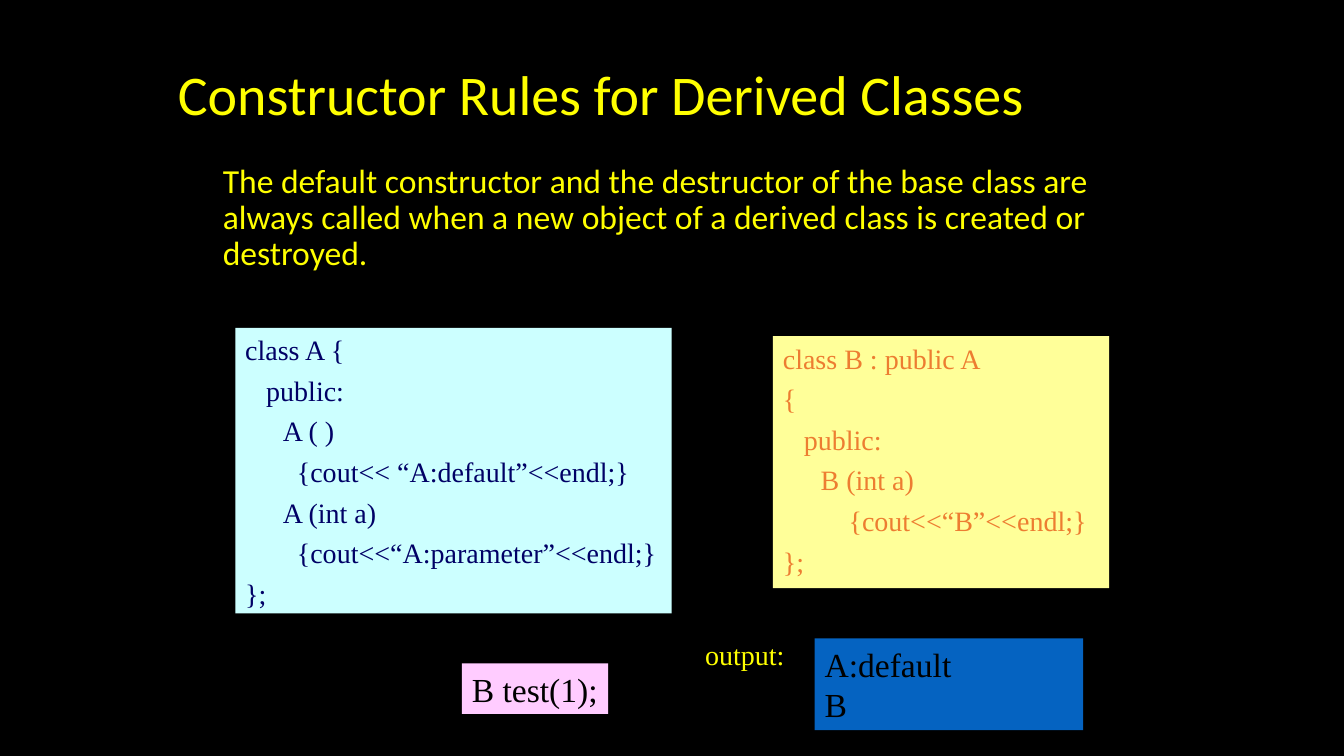
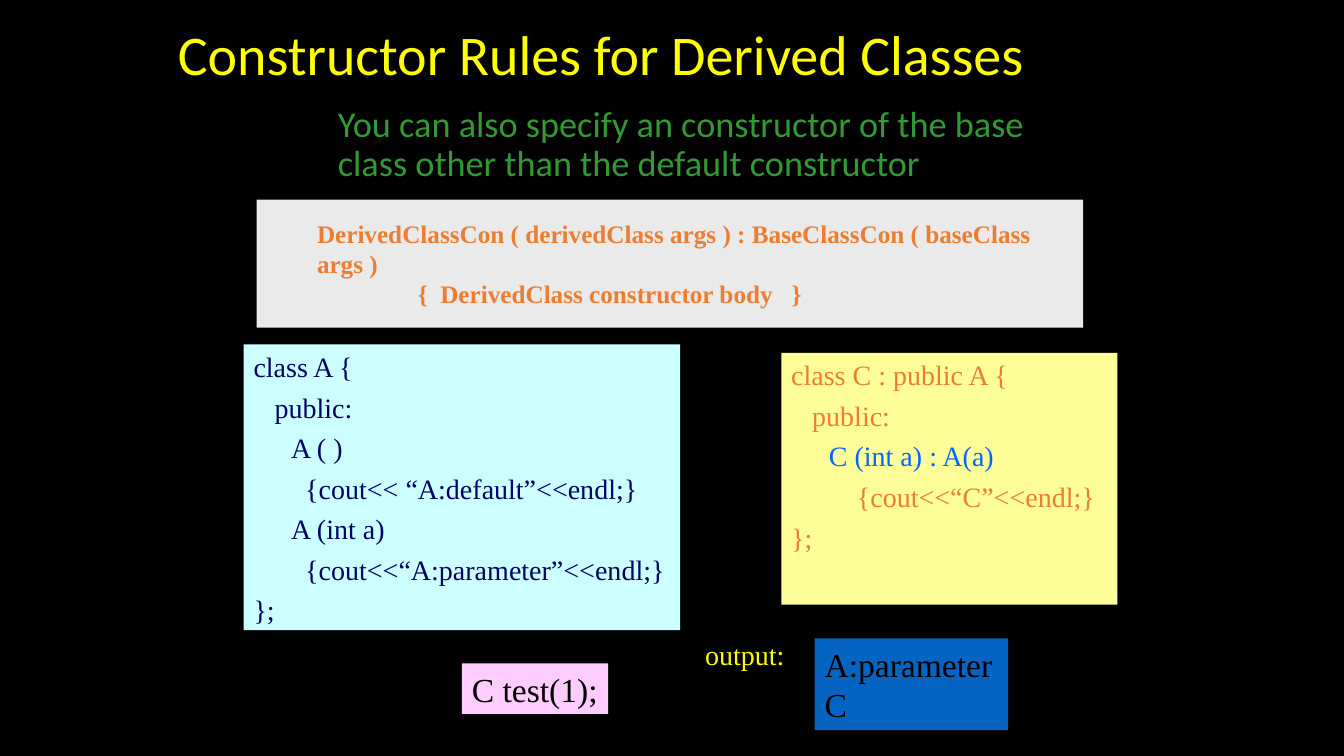
from pptx import Presentation
from pptx.dml.color import RGBColor
from pptx.enum.shapes import MSO_SHAPE
from pptx.enum.text import MSO_ANCHOR, MSO_AUTO_SIZE, PP_ALIGN
from pptx.oxml.ns import qn
from pptx.util import Cm, Pt

RECT = MSO_SHAPE.RECTANGLE
TOP, MIDDLE, BOTTOM = MSO_ANCHOR.TOP, MSO_ANCHOR.MIDDLE, MSO_ANCHOR.BOTTOM
LEFT = PP_ALIGN.LEFT
NO_AUTOFIT = MSO_AUTO_SIZE.NONE

BLACK = RGBColor(0x00, 0x00, 0x00)
YELLOW = RGBColor(0xFF, 0xFF, 0x00)
GREEN = RGBColor(0x33, 0x99, 0x33)
NAVY = RGBColor(0x00, 0x00, 0x66)
ORANGE = RGBColor(0xED, 0x7D, 0x31)
BRIGHT_BLUE = RGBColor(0x00, 0x66, 0xFF)
PALE_CYAN = RGBColor(0xCC, 0xFF, 0xFF)
PALE_YELLOW = RGBColor(0xFF, 0xFF, 0x99)
PINK = RGBColor(0xFF, 0xCC, 0xFF)
BLUE = RGBColor(0x05, 0x63, 0xC1)
GREY = RGBColor(0xEA, 0xEA, 0xEA)

SANS, SERIF = "Calibri", "Times New Roman"
TITLE = "Constructor Rules for Derived Classes"
CODE_INDENT = 0.95
# Offset from the base class box to the derived class box
DERIVED_DX, DERIVED_DY = 13.55, 0.21

BASE_CLASS = [
    "class A {",
    "   public:",
    "\tA ( )",
    "\t  {cout<< “A:default”<<endl;}",
    "\tA (int a)",
    "\t  {cout<<“A:parameter”<<endl;}",
    "};",
]
CLASS_B = [
    "class B : public A",
    "{",
    "   public:",
    "\tB (int a)",
    "\t    {cout<<“B”<<endl;}",
    "};",
]
CLASS_C = [
    "class C : public A {",
    "   public:",
    ("\tC (int a) : A(a)", BRIGHT_BLUE),
    "\t    {cout<<“C”<<endl;}",
    "};",
]


def write(tf, lines, size, color, font=SERIF, bold=False, anchor=TOP, wrap=True,
          spacing=None, before=0, margins=(0,), hanging=0):
    """Fill a text frame; a line is a string or a (string, colour) pair."""
    tf.auto_size = NO_AUTOFIT
    tf.word_wrap = wrap
    tf.vertical_anchor = anchor
    for i, line in enumerate(lines):
        text, line_color = (line, color) if isinstance(line, str) else line
        p = tf.paragraphs[0] if i == 0 else tf.add_paragraph()
        pPr = p._p.get_or_add_pPr()
        pPr.set("marL", str(Cm(margins[min(i, len(margins) - 1)])))
        pPr.set("indent", str(-Cm(hanging)))
        pPr.append(pPr.makeelement(qn("a:buNone"), {}))
        p.alignment = LEFT
        p.space_before = Pt(before if i else 0)
        if spacing:
            p.line_spacing = spacing
        r = p.add_run()
        r.text = text
        r.font.name, r.font.size, r.font.bold = font, Pt(size), bold
        r.font.color.rgb = line_color


def place(sp, box):
    sp.left, sp.top, sp.width, sp.height = (Cm(v) for v in box)


def panel(s, box, fill, lines, **fmt):
    sp = s.shapes.add_shape(RECT, *(Cm(v) for v in box))
    sp.shadow.inherit = False
    sp.fill.solid()
    sp.fill.fore_color.rgb = fill
    sp.line.fill.background()
    write(sp.text_frame, lines, **fmt)


def heading(s, title_box, body_box, body, size, color):
    title, content = s.shapes.title, s.placeholders[1]
    place(title, title_box)
    write(title.text_frame, [TITLE], 40, YELLOW, SANS, anchor=BOTTOM, spacing=0.9)
    place(content, body_box)
    write(content.text_frame, [body], size, color, SANS, spacing=0.9, margins=(0.64,))


def class_pair(s, left, top, derived):
    code = dict(size=20, before=5, margins=(CODE_INDENT,), hanging=CODE_INDENT)
    panel(s, (left, top, 11, 7.2), PALE_CYAN, BASE_CLASS, color=NAVY, **code)
    panel(s, (left + DERIVED_DX, top + DERIVED_DY, 8.47, 6.35), PALE_YELLOW,
          derived, color=ORANGE, **code)


def test_run(s, left, top, call, output, output_width):
    """Test call, label and printed output along the bottom."""
    panel(s, (left, top + 0.79, 3.69, 1.27), PINK, [call], size=24, color=BLACK, wrap=False)
    panel(s, (left + 8.89, top + 0.16, output_width, 2.31), BLUE, output,
          size=24, color=BLACK)
    label = s.shapes.add_textbox(Cm(left + 5.88), Cm(top), Cm(2.53), Cm(1.09))
    write(label.text_frame, ["output:"], 20, YELLOW, wrap=False)


def default_constructor_slide(prs):
    s = prs.slides.add_slide(prs.slide_layouts[1])
    heading(s, (4.23, 0.43, 24.87, 2.92), (4.72, 4.01, 23.77, 3.18),
            "The default constructor and the destructor of the base class are always "
            "called when a new object of a derived class is created or destroyed.",
            24, YELLOW)
    class_pair(s, 5.93, 8.26, CLASS_B)
    test_run(s, 11.64, 15.93, "B test(1);", ["A:default", "B"], 6.77)


def chosen_constructor_slide(prs):
    s = prs.slides.add_slide(prs.slide_layouts[1])
    heading(s, (4.23, 0.43, 24.87, 1.9), (7.62, 2.54, 18.85, 2.54),
            "You can also specify an constructor of the base class other than "
            "the default constructor", 25.9, GREEN)
    class_pair(s, 6.14, 8.68, CLASS_C)
    test_run(s, 11.64, 15.93, "C test(1);", ["A:parameter", "C"], 4.88)
    # Syntax of the constructor call
    panel(s, (6.47, 5.03, 20.83, 3.23), GREY,
          ["DerivedClassCon ( derivedClass args ) : BaseClassCon ( baseClass args )",
           "{  DerivedClass constructor body   }"],
          size=18, color=ORANGE, bold=True, anchor=MIDDLE, margins=(1.27, 3.81))


def main():
    prs = Presentation()
    prs.slide_width, prs.slide_height = Cm(33.87), Cm(19.05)
    background = prs.slide_master.background.fill
    background.solid()
    background.fore_color.rgb = BLACK
    default_constructor_slide(prs)
    chosen_constructor_slide(prs)
    prs.save("out.pptx")


if __name__ == "__main__":
    main()
